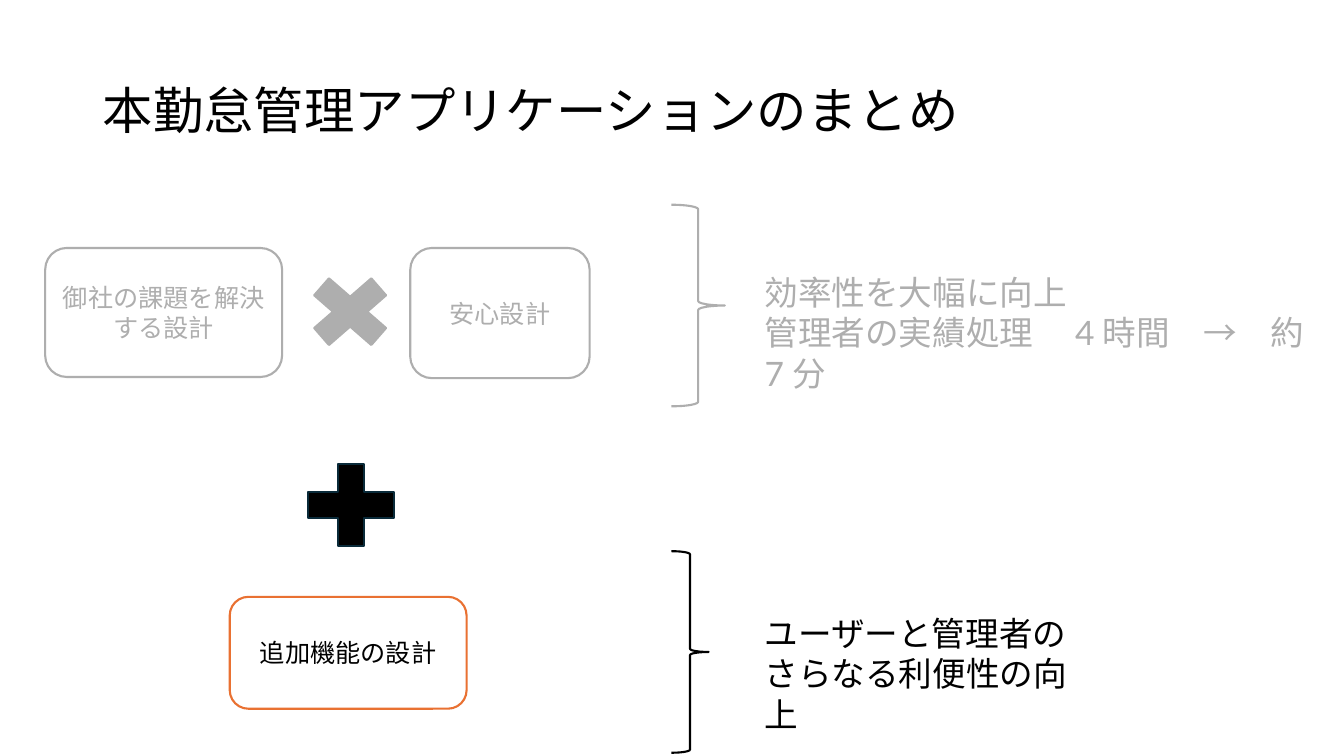
from pptx import Presentation
from pptx.dml.color import RGBColor
from pptx.enum.shapes import MSO_SHAPE as Shape
from pptx.enum.text import MSO_ANCHOR as Anchor, MSO_AUTO_SIZE as AutoSize, PP_ALIGN as Align
from pptx.util import Cm, Pt

WHITE = RGBColor(0xFF, 0xFF, 0xFF)
BLACK = RGBColor(0, 0, 0)
GRAY = RGBColor(0xAE, 0xAE, 0xAE)
ORANGE = RGBColor(0xE9, 0x71, 0x32)
NAVY = RGBColor(0x09, 0x2A, 0x39)

FONT = "Lato"
BRACE_LEFT, BRACE_HEIGHT = 16.92, 5.08
EFFECT_LEFT = 19.02


def write_text(frame, *lines, size=18, color=BLACK, align=Align.LEFT,
               anchor=Anchor.TOP, spacing=None):
    frame.word_wrap = True
    frame.vertical_anchor = anchor
    for index, line in enumerate(lines):
        paragraph = frame.add_paragraph() if index else frame.paragraphs[0]
        paragraph.alignment = align
        paragraph.line_spacing = spacing
        run = paragraph.add_run()
        run.text = line
        run.font.name = FONT
        run.font.size = Pt(size)
        run.font.color.rgb = color


def add_figure(slide, kind, left, top, width, height, fill=WHITE, line=GRAY):
    """Add a preset shape; lengths are in centimetres."""
    shape = slide.shapes.add_shape(kind, Cm(left), Cm(top), Cm(width), Cm(height))
    shape.shadow.inherit = False
    shape.fill.solid()
    shape.fill.fore_color.rgb = fill
    shape.line.color.rgb = line
    shape.line.width = Pt(1.5)
    return shape


def add_design_box(slide, text, left, top, width, height, line=GRAY, color=GRAY):
    shape = add_figure(slide, Shape.ROUNDED_RECTANGLE, left, top, width, height, line=line)
    write_text(shape.text_frame, text, color=color, align=Align.CENTER, anchor=Anchor.MIDDLE)


def add_brace(slide, top, width, line):
    add_figure(slide, Shape.RIGHT_BRACE, BRACE_LEFT, top, width, BRACE_HEIGHT, line=line)


def add_textbox(slide, left, top, width, height):
    box = slide.shapes.add_textbox(Cm(left), Cm(top), Cm(width), Cm(height))
    return box.text_frame


def add_effect(slide, *lines, top, width, color):
    frame = add_textbox(slide, EFFECT_LEFT, top, width, 2.31)
    frame.auto_size = AutoSize.SHAPE_TO_FIT_TEXT
    write_text(frame, *lines, size=24, color=color)


def main():
    presentation = Presentation()
    presentation.slide_width, presentation.slide_height = Cm(33.87), Cm(19.05)
    slide = presentation.slides.add_slide(presentation.slide_layouts[6])

    title = add_textbox(slide, 2.34, 1.02, 29.21, 3.68)
    write_text(title, "本勤怠管理アプリケーションのまとめ", size=36,
               anchor=Anchor.MIDDLE, spacing=0.9)

    add_design_box(slide, "御社の課題を解決する設計", 1.14, 6.25, 5.97, 3.25)
    add_figure(slide, Shape.MATH_MULTIPLY, 7.44, 6.65, 2.77, 2.41, fill=GRAY)
    add_design_box(slide, "安心設計", 10.34, 6.25, 4.52, 3.28)
    add_figure(slide, Shape.MATH_PLUS, 7.37, 11.33, 2.95, 2.79, fill=BLACK, line=NAVY)
    add_design_box(slide, "追加機能の設計", 5.79, 15.04, 5.97, 2.82,
                   line=ORANGE, color=BLACK)

    add_brace(slide, 5.16, 1.35, GRAY)
    add_effect(slide, "効率性を大幅に向上", "管理者の実績処理　4時間　→　約7分",
               top=6.73, width=14.48, color=GRAY)
    add_brace(slide, 13.89, 0.94, BLACK)
    add_effect(slide, "ユーザーと管理者の", "さらなる利便性の向上",
               top=15.32, width=8.61, color=BLACK)

    presentation.save("out.pptx")


if __name__ == "__main__":
    main()
